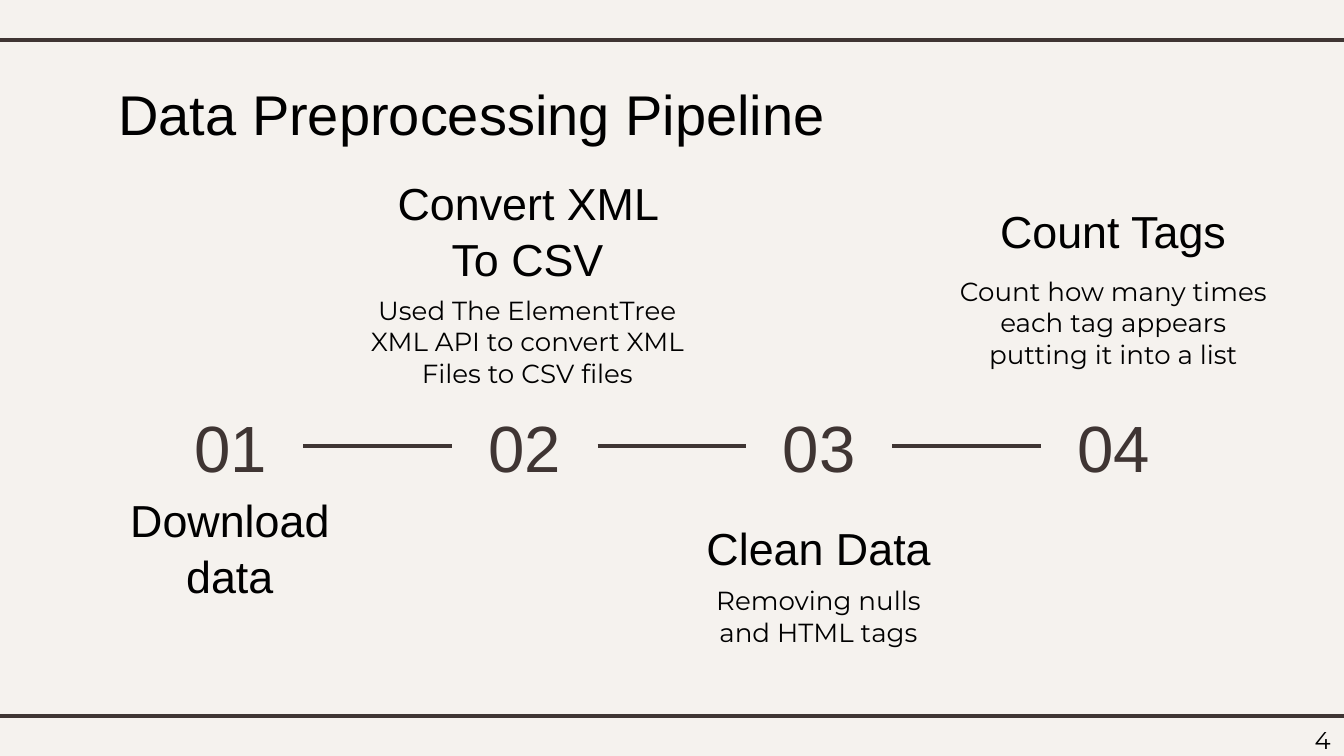
from pptx import Presentation
from pptx.dml.color import RGBColor
from pptx.enum.shapes import MSO_CONNECTOR
from pptx.enum.text import MSO_ANCHOR, MSO_AUTO_SIZE, PP_ALIGN
from pptx.oxml.ns import qn
from pptx.util import Pt

COLOURS = {"background": "F5F2EE", "accent": "3F3533", "text": "000000"}
PAGE_WIDTH, PAGE_HEIGHT = 720, 405
INSET = 7.2
STEP_PITCH, NUMBER_WIDTH = 157.7, 78
STEPS = [
    ("Download data", (55.4, 278.6, 135.4, 28), None, None),
    ("Convert XML To CSV", (199.4, 100, 166.4, 45.4),
     "Used The ElementTree XML API to convert XML Files to CSV files", (179.3, 150.5, 206.6, 62)),
    ("Clean Data", (370.8, 278.6, 135.4, 28),
     "Removing nulls and HTML tags", (370.8, 306, 135.4, 45.4)),
    ("Count Tags", (528.5, 108.7, 135.4, 28),
     "Count how many times each tag appears putting it into a list", (505.4, 140.4, 182.2, 57.6)),
]


def write_text(shape, text, size, font="Arial", colour="text",
               align=PP_ALIGN.CENTER, anchor=MSO_ANCHOR.MIDDLE, spacing=1.0):
    """Fill a text shape with one formatted paragraph."""
    frame = shape.text_frame
    frame.text = text
    frame.word_wrap = True
    frame.auto_size = MSO_AUTO_SIZE.NONE
    frame.vertical_anchor = anchor
    frame.margin_left = frame.margin_right = Pt(INSET)
    frame.margin_top = frame.margin_bottom = Pt(INSET)
    para = frame.paragraphs[0]
    para.alignment = align
    para.line_spacing = spacing
    para.font.name = font
    para.font.size = Pt(size)
    para.font.color.rgb = RGBColor.from_string(COLOURS[colour])


def add_text(page, box, text, size, **style):
    """Add a text box in the given box."""
    write_text(page.shapes.add_textbox(*map(Pt, box)), text, size, **style)


def add_rule(page, left, right, top):
    """Draw a horizontal accent line without a shadow."""
    rule = page.shapes.add_connector(MSO_CONNECTOR.STRAIGHT, Pt(left), Pt(top), Pt(right), Pt(top))
    rule.line.color.rgb = RGBColor.from_string(COLOURS["accent"])
    rule.line.width = Pt(2.25)
    properties = rule._element.spPr
    properties.append(properties.makeelement(qn("a:effectLst"), {}))


def add_frame(page, box):
    """Draw the rules above and below the content and the page number."""
    left, top, width, height = box
    for rule_top in (top + 21.6, top + height - 21.2):
        add_rule(page, left, left + width, rule_top)
    add_text(page, (left + width - 43.2, top + height - 23.4, 43.2, 31), "4", 13,
             font="Montserrat", align=PP_ALIGN.RIGHT, anchor=MSO_ANCHOR.TOP)


def add_title(page, box):
    """Place the slide title in its placeholder."""
    title = page.shapes.title
    title.left, title.top, title.width, title.height = map(Pt, box)
    write_text(title, "Data Preprocessing Pipeline", 30,
               align=PP_ALIGN.LEFT, anchor=MSO_ANCHOR.TOP)


def add_timeline(page, box):
    """Set the step numbers at an equal pitch and join them with rules."""
    left, top, width, height = box
    for index in range(len(STEPS)):
        number_left = left + index * STEP_PITCH
        add_text(page, (number_left, top, NUMBER_WIDTH, height), f"{index + 1:02}", 35, colour="accent")
        if index:
            add_rule(page, number_left - STEP_PITCH + NUMBER_WIDTH, number_left, top + height / 2)


def add_step(page, heading, heading_box, detail, detail_box):
    """Place a step heading and its optional description."""
    add_text(page, heading_box, heading, 24, spacing=1.05)
    if detail:
        add_text(page, detail_box, detail, 14, font="Montserrat", anchor=MSO_ANCHOR.TOP)


def main():
    """Build and save the pipeline slide."""
    deck = Presentation()
    deck.slide_width, deck.slide_height = Pt(PAGE_WIDTH), Pt(PAGE_HEIGHT)
    page = deck.slides.add_slide(deck.slide_layouts[5])
    page.background.fill.solid()
    page.background.fill.fore_color.rgb = RGBColor.from_string(COLOURS["background"])
    add_frame(page, (0, 0, PAGE_WIDTH, PAGE_HEIGHT))
    add_title(page, (56.2, 35.3, 607.7, 45.4))
    add_timeline(page, (84.5, 212.6, 551.1, 52.6))
    for step in STEPS:
        add_step(page, *step)
    deck.save("out.pptx")


if __name__ == "__main__":
    main()
